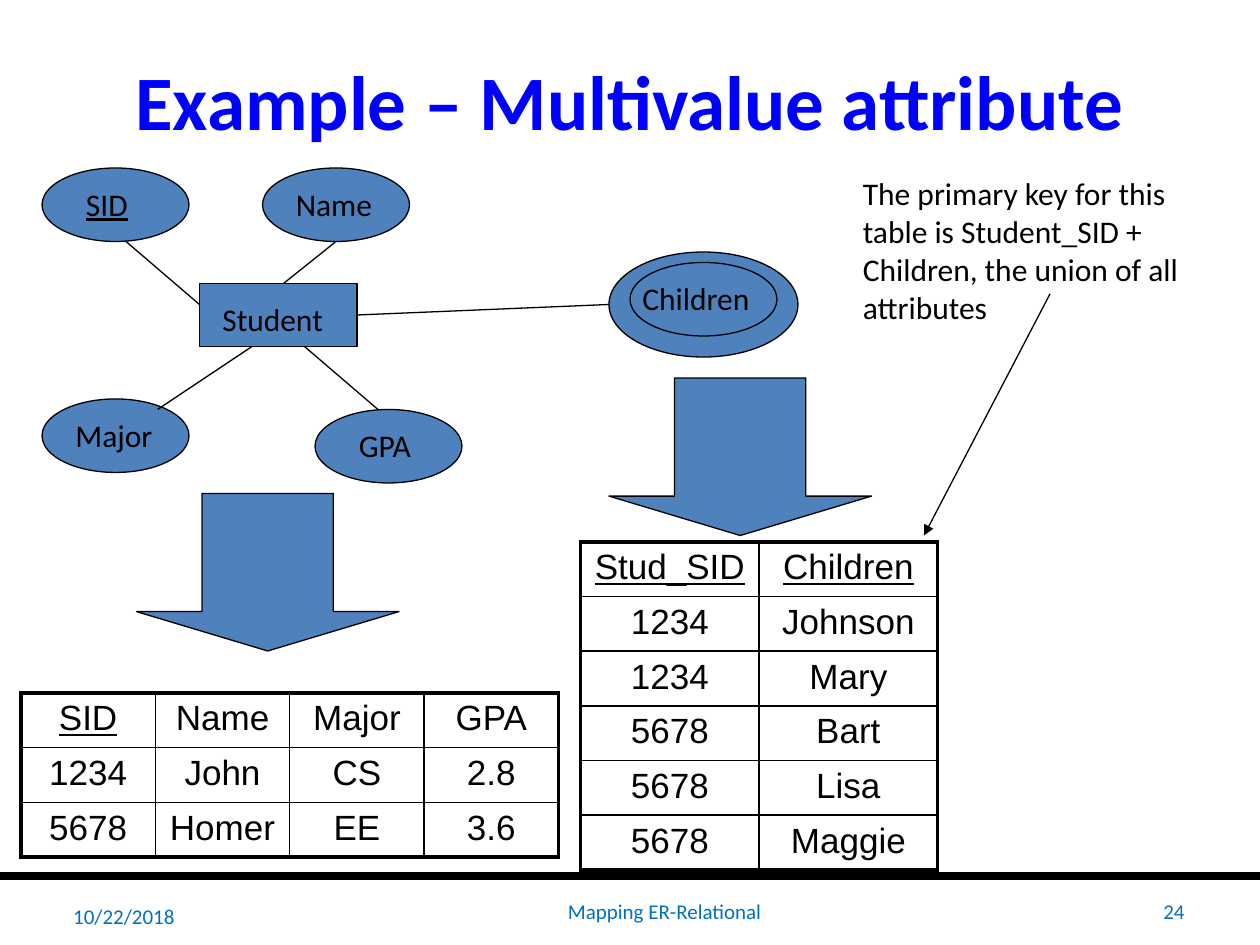
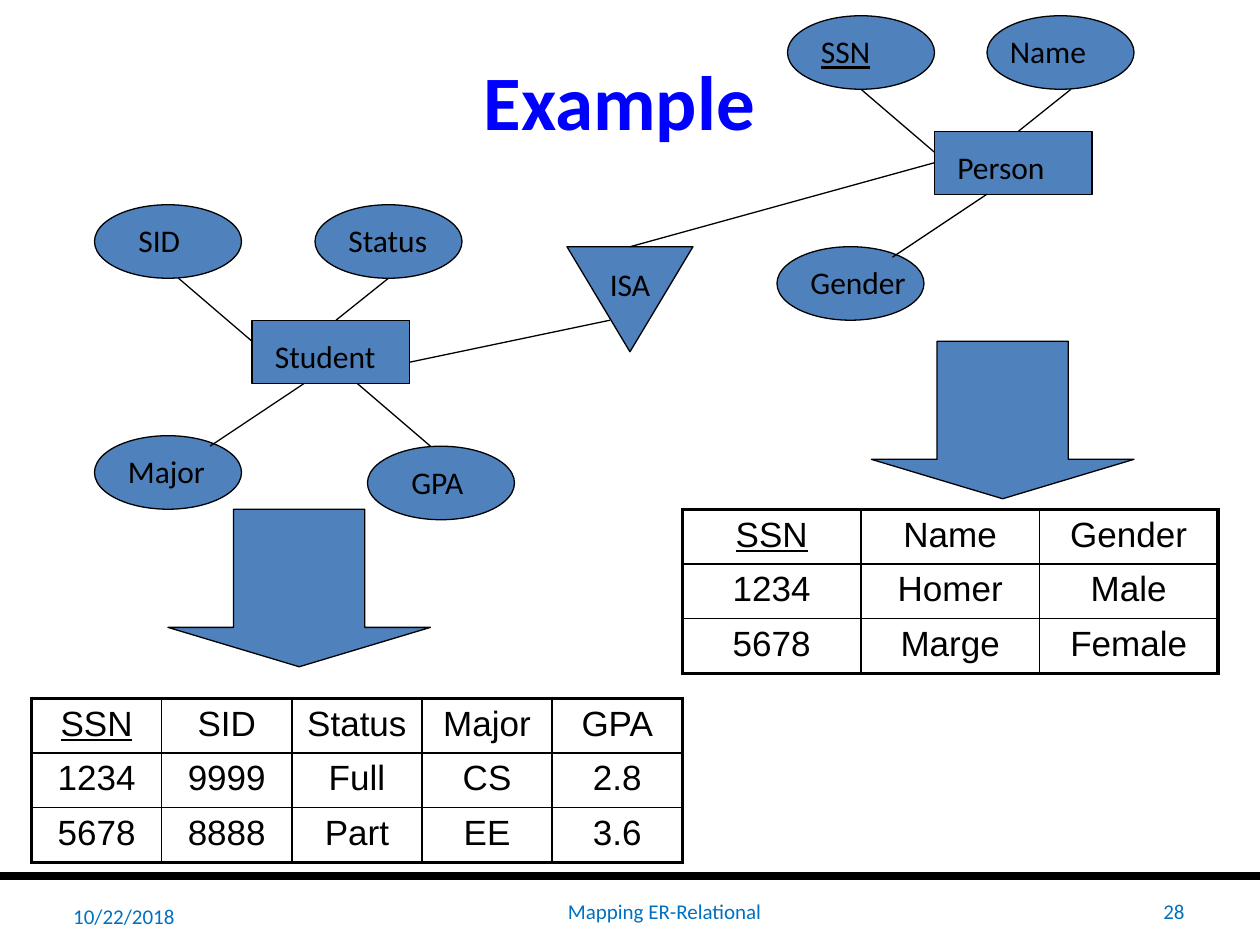
from lxml import etree
from pptx import Presentation
from pptx import util as u
from pptx.dml.color import RGBColor
from pptx.enum import shapes, text
from pptx.oxml import ns

# ---- Shared look: 120 px to the inch ----
PX = 7620
COLORS = {"black": "000000", "white": "FFFFFF", "shape": "4F81BD",
          "title": "0000FF", "footer": "0070C0"}
BODY_FONT, TABLE_FONT = "Calibri", "Arial"
ENTITY_SIZE, ATTRIBUTE_SIZE, ARROW_SIZE = (150, 60), (140, 70), (250, 150)
LABEL_HEIGHT = 48
LEFT, CENTER, RIGHT = text.PP_ALIGN.LEFT, text.PP_ALIGN.CENTER, text.PP_ALIGN.RIGHT
SHAPE = shapes.MSO_SHAPE

# Line from attribute to entity, relative to the entity's corner
SPOKES = {"upper left": (-70, -40, 0, 20), "upper right": (130, -40, 80, 0),
          "lower left": (-40, 120, 50, 60), "lower right": (170, 120, 100, 60)}

# ---- Content ----
# attribute: name, spoke, ellipse offset from entity, label indent, label width
MAJOR = ("Major", "lower left", (-150, 110), 20, 100)
GPA = ("GPA", "lower right", (110, 120), 30, 90)
SID = ("SID", "upper left", (-150, -110), 30, 100)

SLIDES = [
    {
        "title": "Example – Multivalue attribute", "title_left": 60, "number": "24",
        "entities": [
            {"name": "Student", "at": (190, 270), "key": "SID", "attributes": [
                SID, ("Name", "upper right", (60, -110), 20, 110), MAJOR, GPA]},
        ],
        "shapes": [(SHAPE.OVAL, (580, 240, 180, 100)), (SHAPE.OVAL, (600, 250, 140, 70))],
        "labels": [
            ("Children", (600, 260, 140, LABEL_HEIGHT), LEFT),
            ("The primary key for this table is Student_SID + Children, "
             "the union of all attributes", (810, 160, 360, 156), LEFT),
        ],
        "links": [(580, 290, 340, 300)],
        "pointers": [(1000, 280, 880, 510)],
        "block_arrows": [(130, 470), (580, 360)],
        "tables": [
            {"at": (20, 660), "column": 128, "row": 50, "keys": ["SID"], "rows": [
                ["SID", "Name", "Major", "GPA"],
                ["1234", "John", "CS", "2.8"],
                ["5678", "Homer", "EE", "3.6"]]},
            {"at": (553, 516), "column": 170, "row": 52,
             "keys": ["Stud_SID", "Children"], "rows": [
                 ["Stud_SID", "Children"],
                 ["1234", "Johnson"], ["1234", "Mary"],
                 ["5678", "Bart"], ["5678", "Lisa"], ["5678", "Maggie"]]},
        ],
    },
    {
        "title": "Example", "title_left": 50, "number": "28",
        "entities": [
            {"name": "Student", "at": (240, 305), "key": None, "attributes": [
                SID, ("Status", "upper right", (60, -110), 20, 110), MAJOR, GPA]},
            {"name": "Person", "at": (890, 125), "key": "SSN", "attributes": [
                ("SSN", "upper left", (-140, -110), 20, 100),
                ("Name", "upper right", (50, -110), 10, 110),
                ("Gender", "lower left", (-150, 110), 20, 140)]},
        ],
        "shapes": [(SHAPE.FLOWCHART_MERGE, (540, 235, 120, 100))],
        "labels": [("ISA", (545, 247, 110, LABEL_HEIGHT), CENTER)],
        "links": [(600, 235, 890, 155), (581, 305, 390, 345)],
        "pointers": [],
        "block_arrows": [(160, 485), (830, 325)],
        "tables": [
            {"at": (30, 665), "column": 124, "row": 50, "keys": ["SSN"], "rows": [
                ["SSN", "SID", "Status", "Major", "GPA"],
                ["1234", "9999", "Full", "CS", "2.8"],
                ["5678", "8888", "Part", "EE", "3.6"]]},
            {"at": (650, 485), "column": 170, "row": 52, "keys": ["SSN"], "rows": [
                ["SSN", "Name", "Gender"],
                ["1234", "Homer", "Male"],
                ["5678", "Marge", "Female"]]},
        ],
    },
]


# ---- Drawing helpers ----
def emu(*lengths):
    return [u.Emu(length * PX) for length in lengths]


def color(name):
    return RGBColor.from_string(COLORS[name])


def write(frame, words, size, ink="black", font=BODY_FONT, align=LEFT,
          bold=False, underline=False):
    paragraph = frame.paragraphs[0]
    paragraph.alignment = align
    run = paragraph.add_run()
    run.text = words
    run.font.name, run.font.size = font, u.Pt(size)
    run.font.bold, run.font.underline = bold, underline
    run.font.color.rgb = color(ink)


def add_label(slide, words, box, size=18, anchor=text.MSO_ANCHOR.TOP, **style):
    frame = slide.shapes.add_textbox(*emu(*box)).text_frame
    frame.word_wrap = True
    frame.vertical_anchor = anchor
    write(frame, words, size, **style)


def add_figure(slide, kind, box):
    shape = slide.shapes.add_shape(kind, *emu(*box))
    shape.shadow.inherit = False
    shape.fill.solid()
    shape.fill.fore_color.rgb = color("shape")
    shape.line.color.rgb = color("black")
    shape.line.width = u.Pt(0.75)
    return shape


def add_line(slide, ends, width=0.75, arrow=False):
    line = slide.shapes.add_connector(shapes.MSO_CONNECTOR.STRAIGHT, *emu(*ends))
    line.line.color.rgb = color("black")
    line.line.width = u.Pt(width)
    properties = line._element.spPr
    if arrow:
        etree.SubElement(properties.find(ns.qn("a:ln")), ns.qn("a:tailEnd"), type="triangle")
    etree.SubElement(properties, ns.qn("a:effectLst"))


def set_borders(cell, outer_sides):
    """Thick on the table's outer sides, thin inside."""
    properties = cell._tc.get_or_add_tcPr()
    for index, side in enumerate(("L", "R", "T", "B")):
        width = u.Pt(2.25 if side in outer_sides else 1)
        border = etree.Element(ns.qn("a:ln" + side), w=str(int(width)))
        fill = etree.SubElement(border, ns.qn("a:solidFill"))
        etree.SubElement(fill, ns.qn("a:srgbClr"), val=COLORS["black"])
        properties.insert(index, border)


def add_relation(slide, at, column, row, keys, rows):
    row_count, column_count = len(rows), len(rows[0])
    box = (*at, column * column_count, row * row_count)
    table = slide.shapes.add_table(row_count, column_count, *emu(*box)).table
    table.first_row = table.horz_banding = False
    for y, values in enumerate(rows):
        for x, value in enumerate(values):
            cell = table.cell(y, x)
            cell.fill.solid()
            cell.fill.fore_color.rgb = color("white")
            edges = {"L": x == 0, "R": x == column_count - 1,
                     "T": y == 0, "B": y == row_count - 1}
            set_borders(cell, [side for side, outer in edges.items() if outer])
            write(cell.text_frame, value, 20, font=TABLE_FONT, align=CENTER,
                  underline=y == 0 and value in keys)


def add_entity(slide, name, at, key, attributes):
    left, top = at
    add_figure(slide, SHAPE.RECTANGLE, (left, top, *ENTITY_SIZE))
    add_label(slide, name, (left + 10, top + 10, 130, LABEL_HEIGHT))
    for attribute, spoke, (dx, dy), indent, width in attributes:
        x, y = left + dx, top + dy
        add_figure(slide, SHAPE.OVAL, (x, y, *ATTRIBUTE_SIZE))
        x1, y1, x2, y2 = SPOKES[spoke]
        add_line(slide, (left + x1, top + y1, left + x2, top + y2))
        add_label(slide, attribute, (x + indent, y + 10, width, LABEL_HEIGHT),
                  underline=attribute == key)


def add_frame(slide, title, title_left, number):
    """Title, rule above the footer, and the three footer texts."""
    heading = slide.shapes.title
    heading.left, heading.top, heading.width, heading.height = emu(title_left, 20, 1080, 150)
    heading.text_frame.vertical_anchor = text.MSO_ANCHOR.MIDDLE
    write(heading.text_frame, title, 44, ink="title", align=CENTER, bold=True)
    add_line(slide, (0, 834, 1200, 834), width=4.5)
    for words, box, align in (("10/22/2018", (47, 844, 131, 56), RIGHT),
                              ("Mapping ER-Relational", (197, 844, 872, 48), CENTER),
                              (number, (1087, 844, 53, 48), RIGHT)):
        add_label(slide, words, box, size=12, anchor=text.MSO_ANCHOR.MIDDLE,
                  ink="footer", align=align)


def build_slide(presentation, content):
    slide = presentation.slides.add_slide(presentation.slide_layouts[5])
    add_frame(slide, content["title"], content["title_left"], content["number"])
    for relation in content["tables"]:
        add_relation(slide, **relation)
    for entity in content["entities"]:
        add_entity(slide, **entity)
    for corner in content["block_arrows"]:
        arrow = add_figure(slide, SHAPE.DOWN_ARROW, (*corner, *ARROW_SIZE))
        arrow.adjustments[0], arrow.adjustments[1] = 0.5, 0.25
    for kind, box in content["shapes"]:
        add_figure(slide, kind, box)
    for words, box, align in content["labels"]:
        add_label(slide, words, box, align=align)
    for ends in content["links"]:
        add_line(slide, ends)
    for ends in content["pointers"]:
        add_line(slide, ends, arrow=True)


def main():
    presentation = Presentation()
    presentation.slide_width, presentation.slide_height = emu(1200, 900)
    for content in SLIDES:
        build_slide(presentation, content)
    presentation.save("out.pptx")


if __name__ == "__main__":
    main()
